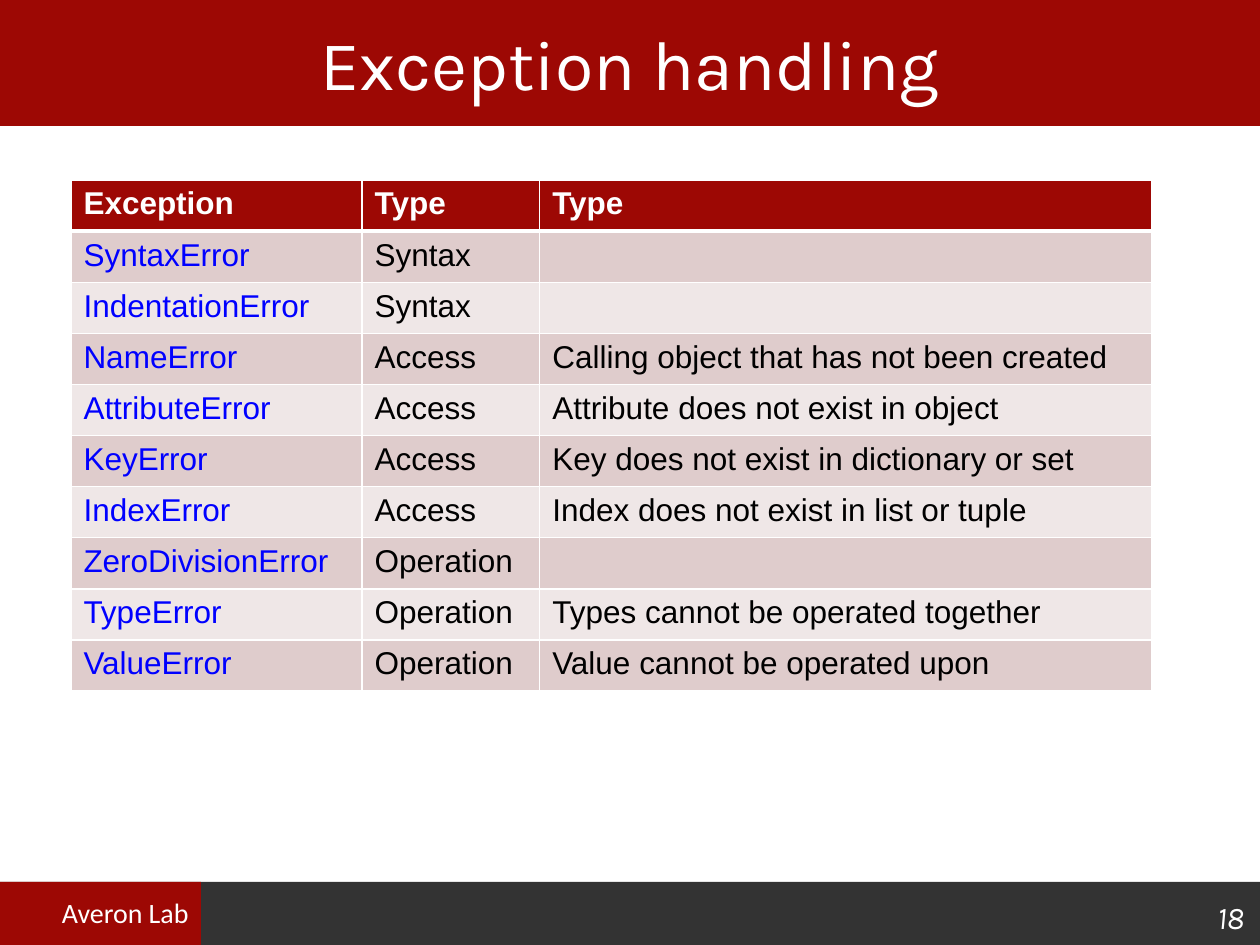
from dataclasses import dataclass

from lxml import etree
from pptx import Presentation
from pptx.dml.color import RGBColor
from pptx.enum.shapes import MSO_SHAPE
from pptx.enum.text import MSO_ANCHOR, PP_ALIGN
from pptx.oxml.ns import qn
from pptx.util import Cm, Pt

RECTANGLE = MSO_SHAPE.RECTANGLE
TOP, MIDDLE, BOTTOM = MSO_ANCHOR.TOP, MSO_ANCHOR.MIDDLE, MSO_ANCHOR.BOTTOM
LEFT, CENTER, RIGHT = PP_ALIGN.LEFT, PP_ALIGN.CENTER, PP_ALIGN.RIGHT

RED, GRAY, WHITE, BLACK, BLUE = "9D0804", "333333", "FFFFFF", "000000", "0000FF"
BANDS = ("DFCCCC", "EFE7E7")


@dataclass(frozen=True)
class Box:
    """Position and size in centimetres."""
    left: float
    top: float
    width: float
    height: float

    def lengths(self) -> tuple:
        return Cm(self.left), Cm(self.top), Cm(self.width), Cm(self.height)


@dataclass(frozen=True)
class Bar:
    box: Box
    color: str


@dataclass(frozen=True)
class Label:
    text: str
    box: Box
    font: dict
    align: PP_ALIGN
    anchor: MSO_ANCHOR
    wrap: bool = True


@dataclass(frozen=True)
class ErrorRow:
    exception: str
    category: str
    meaning: str = ""


BARS = (
    Bar(Box(0, 17.78, 25.4, 1.27), GRAY),
    Bar(Box(0, 0, 25.4, 2.54), RED),
    Bar(Box(0, 17.78, 4.05, 1.27), RED),
)
LABELS = (
    Label("Averon Lab", Box(1, 17.93, 3.07, 0.94),
          {"name": "Calibri", "size": Pt(16)}, LEFT, TOP, wrap=False),
    Label("18", Box(23, 17.98, 2.33, 1.02),
          {"name": "Karla", "size": Pt(18), "italic": True}, RIGHT, BOTTOM),
    Label("Exception handling", Box(0, 0, 25.4, 2.54),
          {"name": "Karla", "size": Pt(40)}, CENTER, MIDDLE),
)
HEADINGS = ("Exception", "Type", "Type")
ERRORS = (
    ErrorRow("SyntaxError", "Syntax"),
    ErrorRow("IndentationError", "Syntax"),
    ErrorRow("NameError", "Access", "Calling object that has not been created"),
    ErrorRow("AttributeError", "Access", "Attribute does not exist in object"),
    ErrorRow("KeyError", "Access", "Key does not exist in dictionary or set"),
    ErrorRow("IndexError", "Access", "Index does not exist in list or tuple"),
    ErrorRow("ZeroDivisionError", "Operation"),
    ErrorRow("TypeError", "Operation", "Types cannot be operated together"),
    ErrorRow("ValueError", "Operation", "Value cannot be operated upon"),
)
TABLE_LEFT, TABLE_TOP, ROW_HEIGHT = 1.43, 3.63, 1.03
COLUMN_WIDTHS = (5.87, 3.58, 12.34)


def rgb(color: str) -> RGBColor:
    return RGBColor.from_string(color)


def write(paragraph, text: str, color: str, font: dict) -> None:
    run = paragraph.add_run()
    run.text = text
    run.font.color.rgb = rgb(color)
    for attribute, value in font.items():
        setattr(run.font, attribute, value)


def add_bar(slide, bar: Bar) -> None:
    band = slide.shapes.add_shape(RECTANGLE, *bar.box.lengths())
    band.shadow.inherit = False
    band.fill.solid()
    band.fill.fore_color.rgb = rgb(bar.color)
    band.line.fill.background()


def add_label(slide, label: Label) -> None:
    frame = slide.shapes.add_textbox(*label.box.lengths()).text_frame
    frame.word_wrap = label.wrap
    frame.vertical_anchor = label.anchor
    paragraph = frame.paragraphs[0]
    paragraph.alignment = label.align
    write(paragraph, label.text, WHITE, label.font)


def set_borders(cell, widths: dict) -> None:
    """Draw white cell borders; call before the fill, which must follow them."""
    properties = cell._tc.get_or_add_tcPr()
    for side, width in widths.items():
        line = etree.SubElement(properties, qn(f"a:ln{side}"), w=str(Pt(width)))
        fill = etree.SubElement(line, qn("a:solidFill"))
        etree.SubElement(fill, qn("a:srgbClr"), val=WHITE)


def fill_cell(cell, text: str, color: str, background: str, bold: bool,
              borders: dict) -> None:
    set_borders(cell, borders)
    cell.fill.solid()
    cell.fill.fore_color.rgb = rgb(background)
    if text:
        write(cell.text_frame.paragraphs[0], text, color,
              {"name": "Arial", "size": Pt(18), "bold": bold})


def add_error_table(slide) -> None:
    row_count = len(ERRORS) + 1
    box = Box(TABLE_LEFT, TABLE_TOP, sum(COLUMN_WIDTHS), ROW_HEIGHT * row_count)
    table = slide.shapes.add_table(row_count, len(HEADINGS), *box.lengths()).table
    for column, width in zip(table.columns, COLUMN_WIDTHS):
        column.width = Cm(width)
    for row in table.rows:
        row.height = Cm(ROW_HEIGHT)

    thin = {"L": 1, "R": 1, "T": 1, "B": 1}
    for column, heading in enumerate(HEADINGS):
        fill_cell(table.cell(0, column), heading, WHITE, RED, True, thin | {"B": 3})
    for row, error in enumerate(ERRORS, start=1):
        borders = thin | {"T": 3} if row == 1 else thin
        background = BANDS[(row - 1) % 2]
        entries = ((error.exception, BLUE), (error.category, BLACK),
                   (error.meaning, BLACK))
        for column, (text, color) in enumerate(entries):
            fill_cell(table.cell(row, column), text, color, background, False, borders)


def main() -> None:
    presentation = Presentation()
    presentation.slide_width, presentation.slide_height = Cm(25.4), Cm(19.05)
    slide = presentation.slides.add_slide(presentation.slide_layouts[6])
    for bar in BARS:
        add_bar(slide, bar)
    for label in LABELS:
        add_label(slide, label)
    add_error_table(slide)
    presentation.save("out.pptx")


if __name__ == "__main__":
    main()
